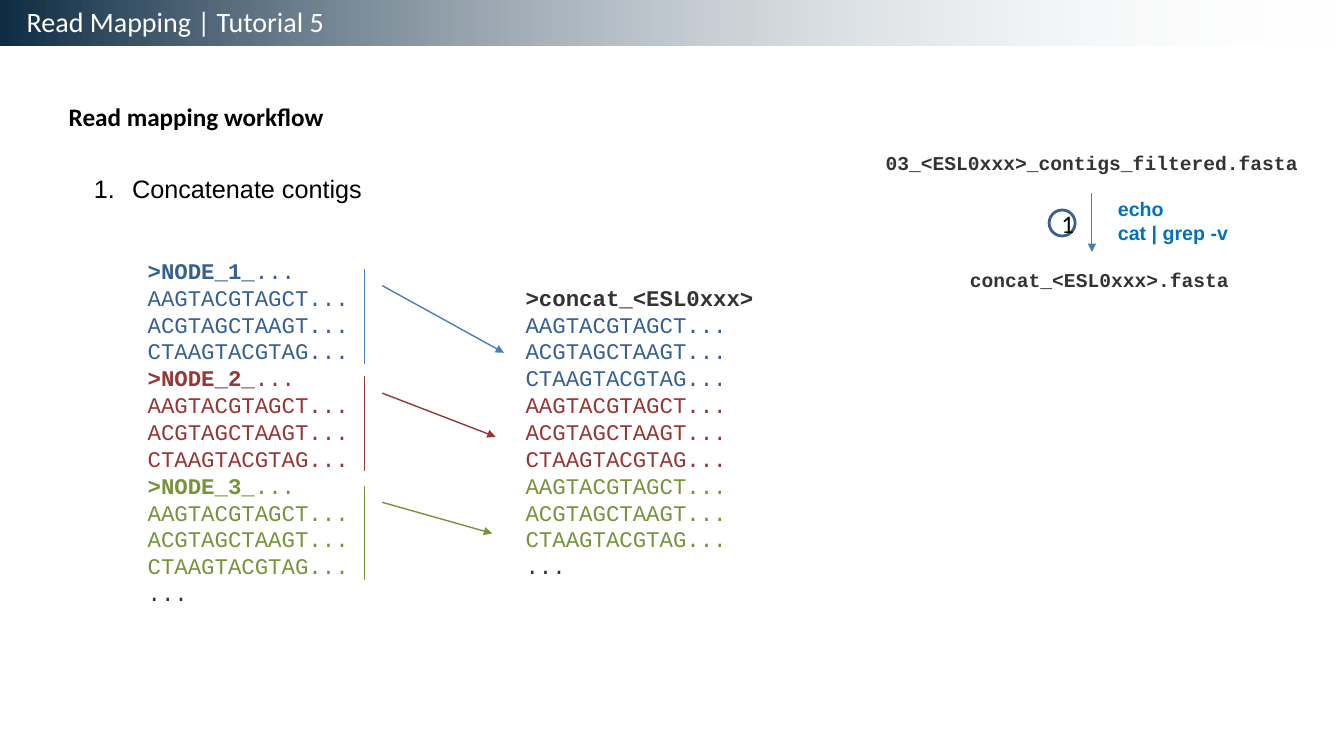
from lxml.etree import SubElement
from pptx import Presentation
from pptx.dml.color import RGBColor
from pptx.enum.shapes import MSO_CONNECTOR, MSO_SHAPE
from pptx.enum.text import MSO_ANCHOR, PP_ALIGN
from pptx.oxml.ns import qn
from pptx.util import Inches, Pt

COLS, ROWS = 160, 90  # grid of square cells, twelve to the inch
CELL = Inches(1) / 12

NAVY = RGBColor(0x0E, 0x2C, 0x44)
PALE = RGBColor(0xF6, 0xF9, 0xFC)
WHITE = RGBColor(0xFF, 0xFF, 0xFF)
BLACK = RGBColor(0, 0, 0)
GREY = RGBColor(0x33, 0x33, 0x33)
BLUE = RGBColor(0x37, 0x60, 0x92)
SKY = RGBColor(0x4B, 0x7E, 0xBC)
RED = RGBColor(0x95, 0x37, 0x35)
GREEN = RGBColor(0x77, 0x93, 0x3C)
CYAN = RGBColor(0x00, 0x70, 0xC0)
RING = RGBColor(0x3A, 0x5F, 0x8C)

MONO = "Courier New"
NODES = [BLUE, RED, GREEN]
READS = ["AAGTACGTAGCT...", "ACGTAGCTAAGT...", "CTAAGTACGTAG..."]


def grid(*cells):
    return [round(n * CELL) for n in cells]


def write(frame, lines, size=18, font="Calibri", color=BLACK, bold=False, align=PP_ALIGN.LEFT):
    """Fill a frame; a line is a string or a list of (text, color, bold) runs."""
    frame.word_wrap = True
    for i, line in enumerate(lines):
        para = frame.paragraphs[0] if i == 0 else frame.add_paragraph()
        para.alignment = align
        for text, tint, heavy in [(line, color, bold)] if isinstance(line, str) else line:
            run = para.add_run()
            run.text = text
            run.font.name, run.font.size = font, Pt(size)
            run.font.color.rgb, run.font.bold = tint, heavy


def label(slide, box, lines, **style):
    frame = slide.shapes.add_textbox(*grid(*box)).text_frame
    write(frame, lines, **style)
    return frame


def draw_line(slide, start, end, color, width=1.0, arrow=False):
    line = slide.shapes.add_connector(MSO_CONNECTOR.STRAIGHT, *grid(*start, *end))
    line.line.color.rgb, line.line.width = color, Pt(width)
    props = line._element.spPr
    if arrow:
        SubElement(props.find(qn("a:ln")), qn("a:tailEnd"), type="triangle")
    SubElement(props, qn("a:effectLst"))


def header(slide, x, y, w, h):
    bar = slide.shapes.add_shape(MSO_SHAPE.RECTANGLE, *grid(x, y, w, h))
    bar.shadow.inherit = False
    bar.line.fill.background()
    bar.fill.gradient()
    bar.fill.gradient_angle = 0
    for stop, color, place in zip(bar.fill.gradient_stops, (NAVY, PALE), (0, 1)):
        stop.color.rgb, stop.position = color, place
    fade = list(bar._element.spPr.iter(qn("a:srgbClr")))[-1]
    SubElement(fade, qn("a:alpha"), val="0")
    label(slide, (x + 2, y - 0.1, 106, h), ["Read Mapping | Tutorial 5"], size=20, color=WHITE)


def heading(slide, x, y, w, h):
    label(slide, (x, y, w - 17, h), ["Read mapping workflow"], bold=True)
    step = label(slide, (x + 3, y + 8.5, w, h), ["Concatenate contigs"], font="Arial")
    props = step.paragraphs[0]._p.get_or_add_pPr()
    props.set("marL", str(Inches(0.38)))
    props.set("indent", str(-Inches(0.38)))
    SubElement(props, qn("a:buAutoNum"), type="arabicPeriod")


def contigs(slide, x, y, w, h):
    """Separate contigs, each with a side bar and an arrow to its merged place."""
    lines = []
    for i, color in enumerate(NODES, 1):
        lines.append([(f">NODE_{i}_", color, True), ("...", color, False)])
        lines += [[(read, color, False)] for read in READS]
    label(slide, (x, y, w, h), lines + ["..."], size=16, font=MONO, color=GREY)
    side = x + w
    tops = (y + 2, y + 14.8, y + 27.8)
    tips = ((side + 16.6, y + 12), (side + 15.6, y + 22), (side + 15.2, y + 33.5))
    for color, top, tip in zip((SKY, RED, GREEN), tops, tips):
        draw_line(slide, (side, top), (side, top + 11.3), color)
        draw_line(slide, (side + 2.1, top + 2), tip, color, arrow=True)


def merged(slide, x, y, w, h):
    lines = [[(">concat_<ESL0xxx>", GREY, True)]]
    lines += [[(read, color, False)] for color in NODES for read in READS]
    label(slide, (x, y, w, h), lines + ["..."], size=16, font=MONO, color=GREY)


def flow(slide, x, y, w, h):
    """File before, numbered step with its commands, file after."""
    mid = x + w / 2
    names = dict(size=14, font=MONO, color=GREY, bold=True, align=PP_ALIGN.CENTER)
    label(slide, (x, y, w, 4.1), ["03_<ESL0xxx>_contigs_filtered.fasta"], **names)
    label(slide, (x + 3.9, y + h - 4.1, 46, 4.1), ["concat_<ESL0xxx>.fasta"], **names)
    draw_line(slide, (mid, y + 5.6), (mid, y + 12.6), SKY, 0.75, arrow=True)
    label(slide, (mid + 1.9, y + 5.5, 17.6, 6.8), ["echo", "cat | grep -v"],
          size=14, font="Arial", color=CYAN, bold=True)
    ring = slide.shapes.add_shape(MSO_SHAPE.OVAL, *grid(mid - 5.1, y + 7.6, 3.1, 3.1))
    ring.shadow.inherit = False
    ring.fill.background()
    ring.line.color.rgb, ring.line.width = RING, Pt(2)
    ring.text_frame.vertical_anchor = MSO_ANCHOR.MIDDLE
    write(ring.text_frame, ["1"], align=PP_ALIGN.CENTER)


def main():
    deck = Presentation()
    deck.slide_width, deck.slide_height = grid(COLS, ROWS)
    slide = deck.slides.add_slide(deck.slide_layouts[6])
    header(slide, 0, 0, COLS, 5.4)
    heading(slide, 7, 11.5, 97, 4.8)
    contigs(slide, 16.4, 30, 27, 43.2)
    merged(slide, 61.4, 33.2, 37, 36.7)
    flow(slide, 104, 17.4, 52, 18)
    deck.save("out.pptx")


if __name__ == "__main__":
    main()
